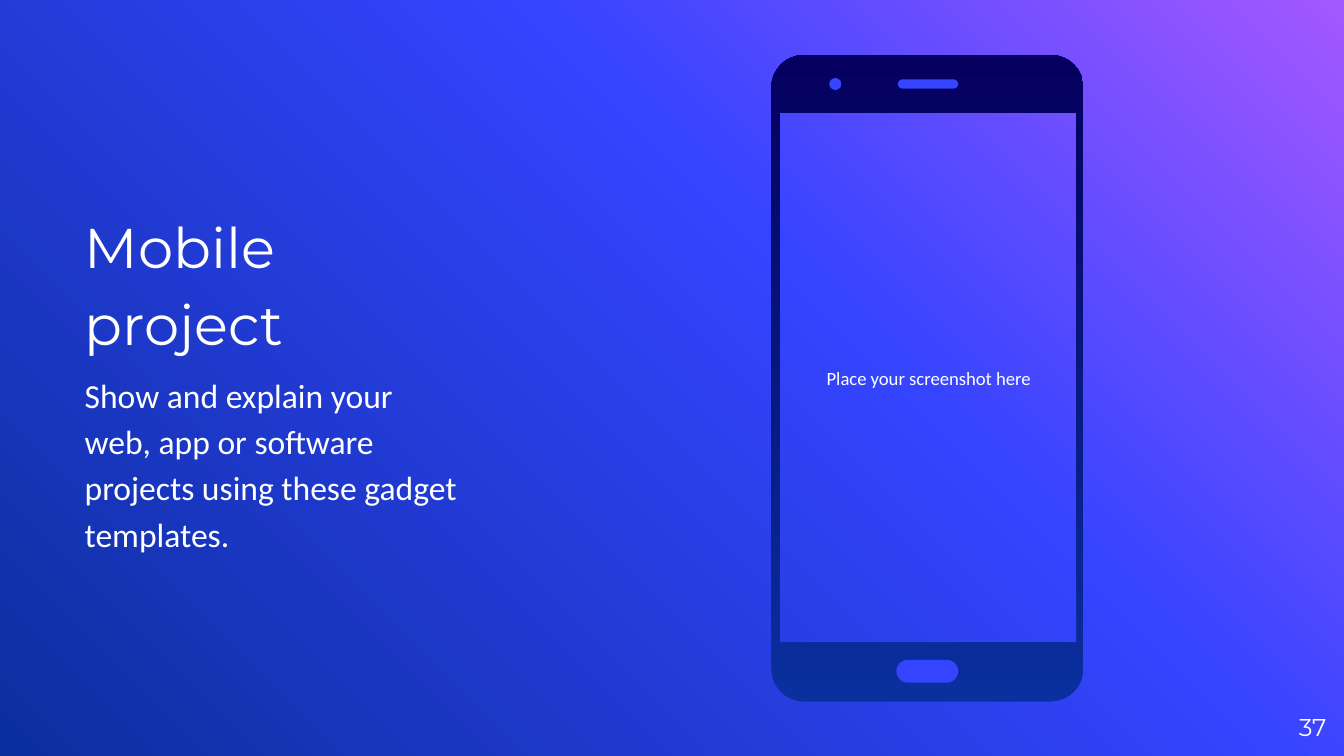
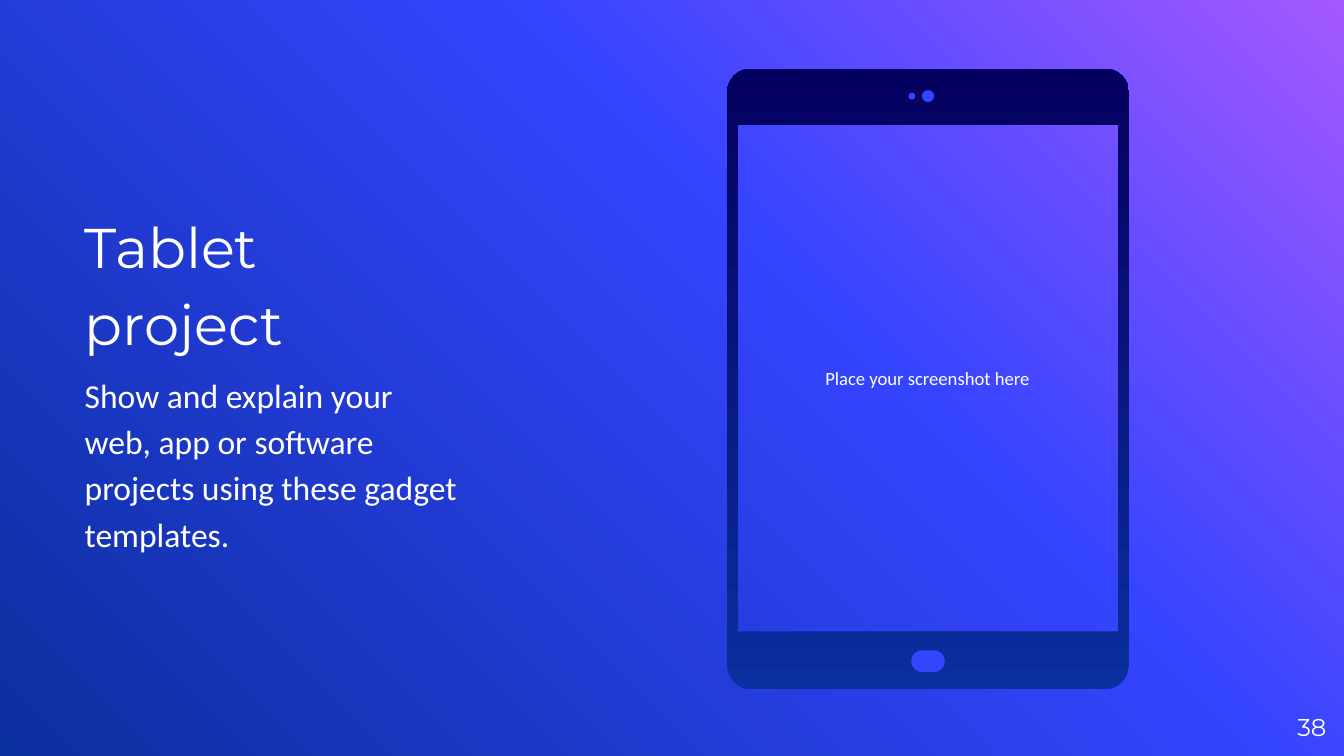
import copy
import math

from lxml import etree
from pptx import Presentation
from pptx import util as u
from pptx.dml.color import RGBColor
from pptx.enum import shapes, text
from pptx.oxml import ns

WHITE, BLUE, NAVY, INK, PURPLE = "FFFFFF", "3544FF", "0A2F9E", "050060", "A458FF"
HEADING_FONT, BODY_FONT = "Montserrat", "Calibri"
ROUND, PILL = shapes.MSO_SHAPE.OVAL, shapes.MSO_SHAPE.ROUNDED_RECTANGLE
LEFT, CENTER, RIGHT = text.PP_ALIGN.LEFT, text.PP_ALIGN.CENTER, text.PP_ALIGN.RIGHT


def paint_gradient(fill, element, stops, angle):
    fill.gradient()
    fill.gradient_angle = angle
    stop_list = element.find(".//" + ns.qn("a:gsLst"))
    for _ in stops[2:]:
        stop_list.append(copy.deepcopy(stop_list[0]))
    for stop, (position, colour) in zip(fill.gradient_stops, stops):
        stop.position = position
        stop.color.rgb = RGBColor.from_string(colour)


def write_text(holder, lines, align, inset):
    frame = holder.text_frame
    frame.word_wrap = True
    frame.auto_size = text.MSO_AUTO_SIZE.NONE
    frame.vertical_anchor = text.MSO_ANCHOR.MIDDLE
    frame.margin_left = frame.margin_right = u.Inches(inset)
    frame.margin_top = frame.margin_bottom = u.Inches(inset)
    for index, (words, font, size) in enumerate(lines):
        paragraph = frame.add_paragraph() if index else frame.paragraphs[0]
        paragraph.text = words
        paragraph.alignment = align
        paragraph.font.name = font
        paragraph.font.size = u.Pt(size)
        paragraph.font.color.rgb = RGBColor.from_string(WHITE)


gadgets = [
    {
        "heading": "Mobile project",
        "number": "37",
        "case": (5.74, 0.41, 8.06, 5.22),
        "corner": 0.24,
        "screen": (5.8, 0.84, 8.01, 4.78),
        "screenshot": (5.81, 0.86, 2.2, 3.91),
        "details": [
            (PILL, 6.67, 4.91, 0.46, 0.17),
            (ROUND, 6.17, 0.58, 0.09, 0.09),
            (PILL, 6.68, 0.59, 0.45, 0.07),
        ],
    },
    {
        "heading": "Tablet\vproject",
        "number": "38",
        "case": (5.41, 0.51, 8.4, 5.13),
        "corner": 0.18,
        "screen": (5.49, 0.93, 8.32, 4.7),
        "screenshot": (5.48, 0.93, 2.84, 3.76),
        "details": [
            (PILL, 6.78, 4.84, 0.25, 0.16),
            (ROUND, 6.76, 0.69, 0.05, 0.05),
            (ROUND, 6.86, 0.67, 0.09, 0.09),
        ],
    },
]

deck = Presentation()
deck.slide_width = u.Inches(10)
deck.slide_height = u.Inches(10) * 9 // 16
master = deck.slide_master
paint_gradient(master.background.fill, master.element,
               [(0, PURPLE), (0.39, BLUE), (1, NAVY)], 225)

for gadget in gadgets:
    slide = deck.slides.add_slide(deck.slide_layouts[1])
    unused_title = slide.shapes.title.element
    unused_title.getparent().remove(unused_title)

    intro = slide.placeholders[1]
    intro.left, intro.top = u.Inches(0.63), u.Inches(0.86)
    intro.width, intro.height = u.Inches(2.78), u.Inches(3.91)
    write_text(intro, [
        (gadget["heading"], HEADING_FONT, 30),
        ("Show and explain your web, app or software projects "
         "using these gadget templates.", BODY_FONT, 18),
    ], LEFT, 0)
    for paragraph in intro.text_frame.paragraphs:
        paragraph.line_spacing = 1.15
        paragraph.space_before = u.Pt(6)
        properties = paragraph._p.get_or_add_pPr()
        properties.set("marL", "0")
        properties.set("indent", "0")
        properties.find(ns.qn("a:defRPr")).addprevious(etree.Element(ns.qn("a:buNone")))

    screenshot = slide.shapes.add_textbox(*map(u.Inches, gadget["screenshot"]))
    write_text(screenshot, [("Place your screenshot here", BODY_FONT, 10)], CENTER, 0.1)

    page_number = slide.shapes.add_textbox(*map(u.Inches, (9.27, 5.19, 0.6, 0.43)))
    write_text(page_number, [(gadget["number"], HEADING_FONT, 13)], RIGHT, 0)

    left, top, right, bottom = gadget["case"]
    radius = gadget["corner"]
    centres = [(right - radius, bottom - radius), (left + radius, bottom - radius),
               (left + radius, top + radius), (right - radius, top + radius)]
    outline = []
    for quarter, (x, y) in enumerate(centres):
        for step in range(9):
            angle = math.radians(90 * quarter + 90 * step / 8)
            outline.append((u.Inches(x + radius * math.cos(angle)),
                            u.Inches(y + radius * math.sin(angle))))
    x1, y1, x2, y2 = map(u.Inches, gadget["screen"])

    device = slide.shapes.add_group_shape()
    builder = device.shapes.build_freeform(*outline[0])
    builder.add_line_segments(outline[1:], close=True)
    builder.move_to(x1, y1)
    builder.add_line_segments([(x1, y2), (x2, y2), (x2, y1)], close=True)
    case = builder.convert_to_shape()
    case.shadow.inherit = False
    case.line.fill.background()
    paint_gradient(case.fill, case.element, [(0, NAVY), (1, INK)], 90)

    for kind, *box in gadget["details"]:
        detail = device.shapes.add_shape(kind, *map(u.Inches, box))
        if kind == PILL:
            detail.adjustments[0] = 0.5
        detail.shadow.inherit = False
        detail.line.fill.background()
        detail.fill.solid()
        detail.fill.fore_color.rgb = RGBColor.from_string(BLUE)

deck.save("out.pptx")
